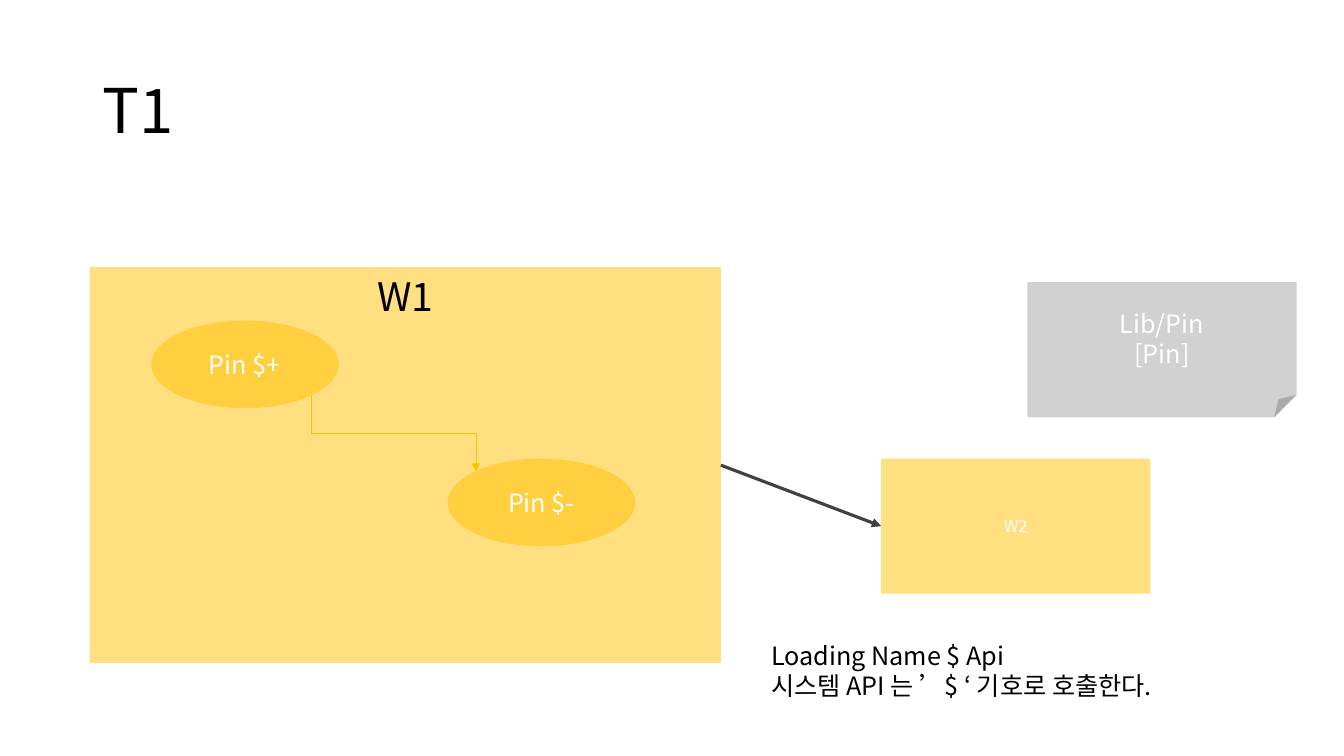
from dataclasses import dataclass

from lxml.etree import SubElement
from pptx import Presentation
from pptx.dml.color import RGBColor
from pptx.enum.shapes import MSO_CONNECTOR, MSO_SHAPE
from pptx.enum.text import MSO_ANCHOR, MSO_AUTO_SIZE, PP_ALIGN
from pptx.oxml.ns import qn
from pptx.shapes.autoshape import Shape
from pptx.shapes.connector import Connector
from pptx.shapes.shapetree import GroupShapes, SlideShapes
from pptx.util import Inches, Pt

FONT = "Noto Sans CJK KR"
COLORS = {
    "amber": "FFC000",
    "grey": "A5A5A5",
    "arrow": "404040",
    "black": "000000",
    "white": "FFFFFF",
}


@dataclass(frozen=True)
class Label:
    lines: tuple[str, ...]
    size: float
    color: str = "black"
    align: PP_ALIGN = PP_ALIGN.LEFT
    anchor: MSO_ANCHOR = MSO_ANCHOR.TOP
    spacing: float = 1.0


@dataclass(frozen=True)
class Node:
    kind: MSO_SHAPE
    left: float
    top: float
    width: float
    height: float
    label: Label
    fill: str = "amber"


def node_label(*lines: str, size: float = 18, color: str = "white",
               anchor: MSO_ANCHOR = MSO_ANCHOR.MIDDLE) -> Label:
    return Label(lines, size, color, PP_ALIGN.CENTER, anchor)


WINDOW_ONE = Node(MSO_SHAPE.RECTANGLE, 0.89, 2.65, 6.26, 3.93,
                  node_label("W1", size=28, color="black", anchor=MSO_ANCHOR.TOP))
WINDOW_TWO = Node(MSO_SHAPE.RECTANGLE, 8.74, 4.55, 2.67, 1.34,
                  node_label("W2", size=12))
LIBRARY = Node(MSO_SHAPE.FOLDED_CORNER, 10.19, 2.8, 2.67, 1.34,
               node_label("Lib/Pin", "[Pin]"), "grey")
PINS = (
    Node(MSO_SHAPE.OVAL, 1.5, 3.18, 1.86, 0.87, node_label("Pin $+")),
    Node(MSO_SHAPE.OVAL, 4.44, 4.55, 1.86, 0.87, node_label("Pin $-")),
)


def rgb(name: str) -> RGBColor:
    return RGBColor.from_string(COLORS[name])


def write_label(box: Shape, label: Label) -> None:
    frame = box.text_frame
    frame.word_wrap = True
    frame.vertical_anchor = label.anchor
    frame.text = "\n".join(label.lines)
    for para in frame.paragraphs:
        para.alignment = label.align
        para.line_spacing = label.spacing
        para.font.name = FONT
        para.font.size = Pt(label.size)
        para.font.color.rgb = rgb(label.color)
        defaults = para._p.pPr.find(qn("a:defRPr"))
        SubElement(defaults, qn("a:ea"), typeface=FONT)


def add_node(shapes: SlideShapes | GroupShapes, node: Node) -> Shape:
    box = shapes.add_shape(node.kind, Inches(node.left), Inches(node.top),
                           Inches(node.width), Inches(node.height))
    box.shadow.inherit = False
    box.fill.solid()
    box.fill.fore_color.rgb = rgb(node.fill)
    color = box._element.spPr.find(qn("a:solidFill"))[0]
    SubElement(color, qn("a:alpha"), val="50000")
    box.line.fill.background()
    write_label(box, node.label)
    return box


def add_text(shapes: SlideShapes, left: float, top: float, width: float,
             height: float, label: Label) -> Shape:
    box = shapes.add_textbox(Inches(left), Inches(top), Inches(width), Inches(height))
    write_label(box, label)
    return box


def add_arrow(shapes: SlideShapes | GroupShapes, kind: MSO_CONNECTOR,
              start: tuple[float, float], end: tuple[float, float],
              color: str, width: float) -> Connector:
    arrow = shapes.add_connector(kind, Inches(start[0]), Inches(start[1]),
                                 Inches(end[0]), Inches(end[1]))
    arrow.line.color.rgb = rgb(color)
    arrow.line.width = Pt(width)
    SubElement(arrow.line._get_or_add_ln(), qn("a:tailEnd"), type="triangle")
    SubElement(arrow._element.spPr, qn("a:effectLst"))
    return arrow


def add_down_elbow(shapes: GroupShapes, start: tuple[float, float],
                   end: tuple[float, float]) -> None:
    center_x, center_y = (start[0] + end[0]) / 2, (start[1] + end[1]) / 2
    half_x, half_y = (end[0] - start[0]) / 2, (end[1] - start[1]) / 2
    elbow = add_arrow(shapes, MSO_CONNECTOR.ELBOW,
                      (center_x + half_y, center_y - half_x),
                      (center_x - half_y, center_y + half_x), "amber", 0.5)
    elbow._element.spPr.find(qn("a:xfrm")).set("rot", str(270 * 60000))


def main() -> None:
    deck = Presentation()
    deck.slide_width, deck.slide_height = Inches(13.33), Inches(7.5)
    page = deck.slides.add_slide(deck.slide_layouts[6])
    shapes = page.shapes

    add_text(shapes, 0.92, 0.4, 11.5, 1.45,
             Label(("T1",), 44, anchor=MSO_ANCHOR.MIDDLE, spacing=0.9))
    second = add_node(shapes, WINDOW_TWO)

    group = shapes.add_group_shape()
    first = add_node(group.shapes, WINDOW_ONE)
    for pin in PINS:
        add_node(group.shapes, pin)
    add_down_elbow(group.shapes, (3.09, 3.92), (4.72, 4.68))

    link = add_arrow(shapes, MSO_CONNECTOR.STRAIGHT, (7.15, 4.62), (8.74, 5.22),
                     "arrow", 2.25)
    link.begin_connect(first, 3)
    link.end_connect(second, 1)

    note = add_text(shapes, 7.55, 6.3, 5.49, 0.71,
                    Label(("Loading Name $ Api", "시스템 API 는 ’$ ‘ 기호로 호출한다."), 18))
    note.text_frame.auto_size = MSO_AUTO_SIZE.SHAPE_TO_FIT_TEXT
    add_node(shapes, LIBRARY)
    deck.save("out.pptx")


if __name__ == "__main__":
    main()
